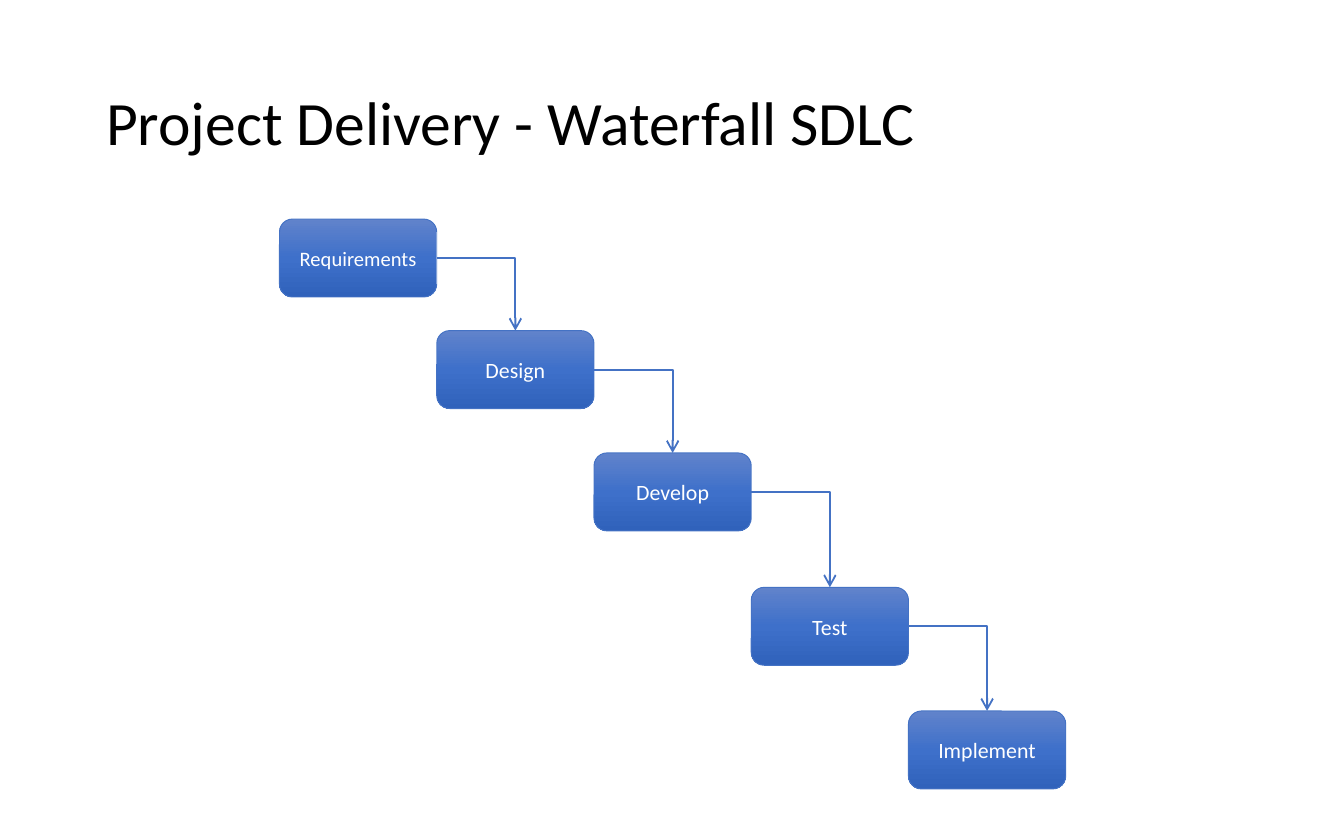
import copy

import lxml.etree
import pptx
import pptx.util
import pptx.dml.color
import pptx.enum.shapes
import pptx.enum.text
import pptx.oxml.ns

Inches, Pt = pptx.util.Inches, pptx.util.Pt
RGB = pptx.dml.color.RGBColor.from_string
qn = pptx.oxml.ns.qn

COLORS = {"title": "000000", "label": "FFFFFF", "line": "4472C4",
          "top": "6183CB", "middle": "3E70CA", "bottom": "3062BB"}
FONT = "Calibri"


def add_text(tf, text, size, color, align):
    tf.word_wrap = True
    tf.vertical_anchor = pptx.enum.text.MSO_ANCHOR.MIDDLE
    p = tf.paragraphs[0]
    p.alignment = align
    r = p.add_run()
    r.text = text
    r.font.name = FONT
    r.font.size = Pt(size)
    r.font.color.rgb = RGB(COLORS[color])
    return p


def fill_gradient(sp):
    sp.fill.gradient()
    sp.fill.gradient_angle = 270  # counter-clockwise, so top to bottom
    stops = sp._element.spPr.find(".//" + qn("a:gsLst"))
    stops.insert(1, copy.deepcopy(stops[0]))
    for stop, position, name in zip(sp.fill.gradient_stops, (0, 0.5, 1),
                                    ("top", "middle", "bottom")):
        stop.position = position
        stop.color.rgb = RGB(COLORS[name])


prs = pptx.Presentation()
prs.slide_width, prs.slide_height = Inches(10), Inches(6.25)
s = prs.slides.add_slide(prs.slide_layouts[5])

# Title
title = s.shapes.title
title.left, title.top = Inches(0.69), Inches(0.33)
title.width, title.height = Inches(8.62), Inches(1.21)
p = add_text(title.text_frame, "Project Delivery - Waterfall SDLC", 33, "title",
             pptx.enum.text.PP_ALIGN.LEFT)
p.line_spacing = 0.9

# Phases, each one box width to the right of the last
LEFT, BOX_W, BOX_H = 2.08, 1.17, 0.58
phases = [("Requirements", 1.63, 11), ("Design", 2.46, 11.7), ("Develop", 3.37, 11.7),
          ("Test", 4.37, 11.7), ("Implement", 5.29, 11.7)]
boxes = []
for i, (name, top, size) in enumerate(phases):
    sp = s.shapes.add_shape(pptx.enum.shapes.MSO_SHAPE.ROUNDED_RECTANGLE,
                            Inches(LEFT + i * BOX_W), Inches(top),
                            Inches(BOX_W), Inches(BOX_H))
    sp.shadow.inherit = False
    fill_gradient(sp)
    sp.line.color.rgb = RGB(COLORS["line"])
    sp.line.width = Pt(0.5)
    add_text(sp.text_frame, name, size, "label", pptx.enum.text.PP_ALIGN.CENTER)
    boxes.append(sp)

# Arrows from the right side of each box to the top of the next
TOP_SITE, RIGHT_SITE = 0, 3
for box, following in zip(boxes, boxes[1:]):
    cn = s.shapes.add_connector(pptx.enum.shapes.MSO_CONNECTOR.ELBOW, 0, 0, 0, 0)
    cn.begin_connect(box, RIGHT_SITE)
    cn.end_connect(following, TOP_SITE)
    cn.line.color.rgb = RGB(COLORS["line"])
    cn.line.width = Pt(1)
    spPr = cn._element.spPr
    spPr.find(qn("a:prstGeom")).set("prst", "bentConnector2")
    lxml.etree.SubElement(spPr.find(qn("a:ln")), qn("a:tailEnd"), type="arrow")
    lxml.etree.SubElement(spPr, qn("a:effectLst"))

prs.save("out.pptx")
